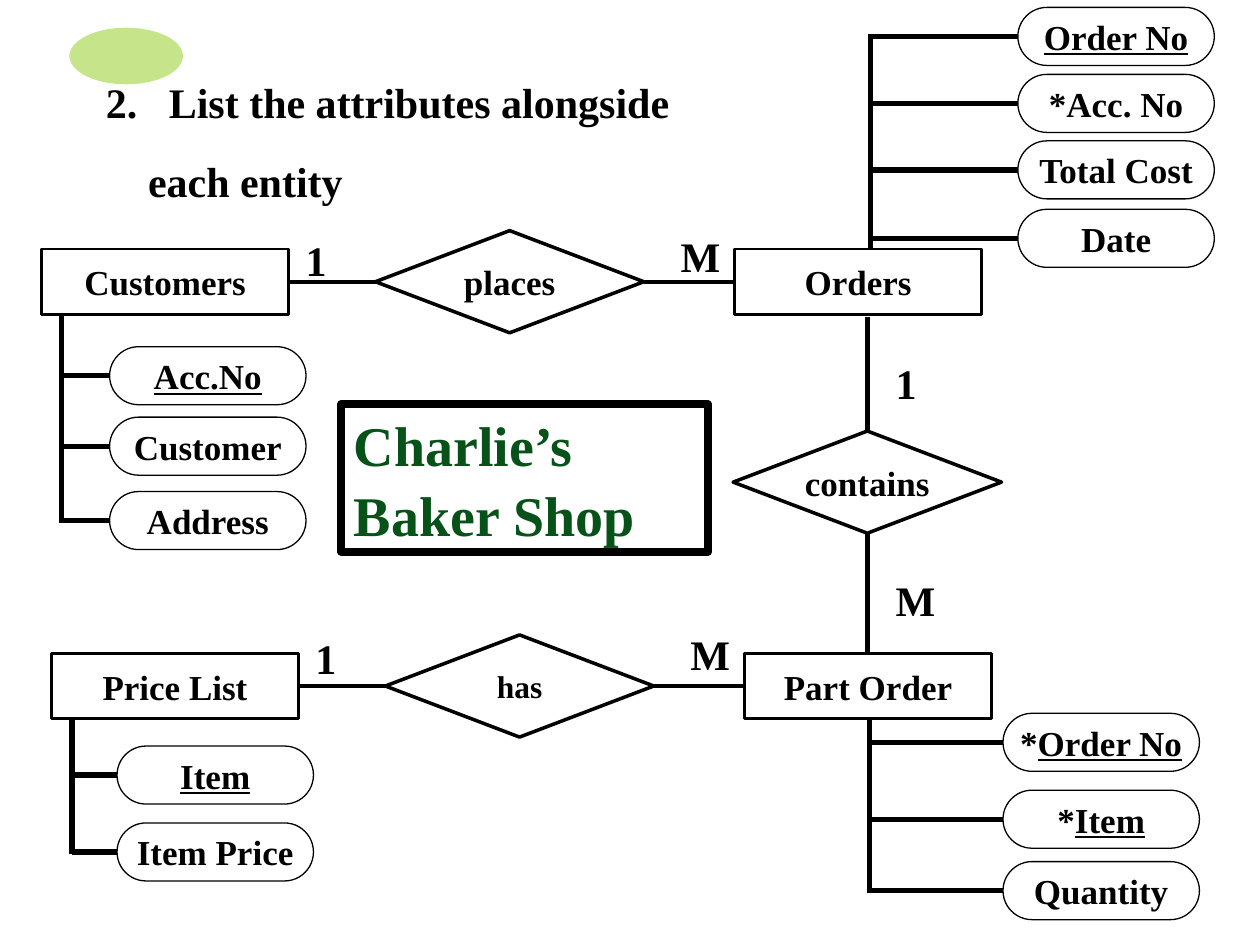
from lxml.etree import SubElement
from pptx import Presentation
from pptx.dml.color import RGBColor
from pptx.enum.shapes import MSO_CONNECTOR, MSO_SHAPE
from pptx.enum.text import MSO_ANCHOR as Anchor, MSO_AUTO_SIZE, PP_ALIGN as Align
from pptx.oxml.ns import qn
from pptx.util import Cm, Pt

BLACK, WHITE, GREEN, LIME = "000000", "FFFFFF", "065218", "8FCB17"
FONT = "Times New Roman"
ENTITY_W, ENTITY_H = 4.98, 1.32
DIAMOND_W, DIAMOND_H = 5.41, 2.06
PILL_W, PILL_H = 3.96, 1.17


def color(hex_code):
    """Turn a hex string into a colour."""
    return RGBColor.from_string(hex_code)


def write(paragraph, text, size=20, ink=BLACK, underline=False):
    """Append a bold run to a paragraph."""
    run = paragraph.add_run()
    run.text = text
    font = run.font
    font.name, font.size, font.bold = FONT, Pt(size), True
    font.underline = underline
    font.color.rgb = color(ink)


def place(item, left, top, width, height):
    """Move and size a placeholder, in centimetres."""
    item.left, item.top, item.width, item.height = map(Cm, (left, top, width, height))


def draw_line(slide, x1, y1, x2, y2, weight=2.5):
    """Draw a plain black line."""
    line = slide.shapes.add_connector(
        MSO_CONNECTOR.STRAIGHT, Cm(x1), Cm(y1), Cm(x2), Cm(y2))
    line.line.color.rgb = color(BLACK)
    line.line.width = Pt(weight)
    SubElement(line._element.spPr, qn("a:effectLst"))


def add_node(slide, kind, box, weight, text="", key="", size=20):
    """Draw an outlined white shape with centred text; the key is underlined."""
    node = slide.shapes.add_shape(kind, *map(Cm, box))
    node.shadow.inherit = False
    node.fill.solid()
    node.fill.fore_color.rgb = color(WHITE)
    node.line.color.rgb = color(BLACK)
    node.line.width = Pt(weight)
    frame = node.text_frame
    frame.word_wrap = False
    frame.vertical_anchor = Anchor.MIDDLE
    paragraph = frame.paragraphs[0]
    paragraph.alignment = Align.CENTER
    if text:
        write(paragraph, text, size)
    if key:
        write(paragraph, key, size, underline=True)
    return node


def add_entity(slide, left, top, name):
    """Draw an entity rectangle."""
    add_node(slide, MSO_SHAPE.RECTANGLE, (left, top, ENTITY_W, ENTITY_H), 1.5, name)


def add_diamond(slide, left, top, name, size=20):
    """Draw a relationship diamond."""
    add_node(slide, MSO_SHAPE.FLOWCHART_DECISION,
             (left, top, DIAMOND_W, DIAMOND_H), 2, name, size=size)


def add_cardinality(slide, left, top, text):
    """Write a cardinality beside a line."""
    frame = slide.shapes.add_textbox(Cm(left), Cm(top), Cm(1.37), Cm(1.27)).text_frame
    frame.word_wrap = True
    frame.vertical_anchor = Anchor.MIDDLE
    write(frame.paragraphs[0], text, 24)


def relationship_row(slide, left, top, names, one_top, many_top, size=20):
    """Draw two entities joined from left to right through a diamond."""
    first, relation, second = names
    diamond_left, second_left = left + 6.73, left + 13.97
    middle = top + DIAMOND_H / 2
    entity_top = middle - ENTITY_H / 2
    draw_line(slide, left + ENTITY_W, middle, diamond_left, middle)
    draw_line(slide, diamond_left + DIAMOND_W, middle, second_left, middle)
    add_entity(slide, left, entity_top, first)
    add_diamond(slide, diamond_left, top, relation, size)
    add_entity(slide, second_left, entity_top, second)
    add_cardinality(slide, left + 5.07, top + one_top, "1")
    add_cardinality(slide, left + 12.63, top + many_top, "M")


def relationship_column(slide, left, top, height, name):
    """Draw a diamond between two entities, one above the other."""
    center = left + DIAMOND_W / 2
    diamond_top = top + 2.3
    draw_line(slide, center, top, center, diamond_top)
    draw_line(slide, center, diamond_top + DIAMOND_H, center, top + height)
    add_diamond(slide, left, diamond_top, name)
    add_cardinality(slide, center + 0.32, top + 0.7, "1")
    add_cardinality(slide, center + 0.32, top + 5.07, "M")


def attribute_tree(slide, trunk, root, left, attributes):
    """Hang attributes, given as (top, text, key), on a trunk that starts at root."""
    middles = [top + PILL_H / 2 for top, _, _ in attributes]
    end = max(middles) + 0.05 if root < middles[-1] - 1 else min(middles) - 0.05
    draw_line(slide, trunk, root, trunk, end, 3)
    for middle, (top, text, key) in zip(middles, attributes):
        draw_line(slide, trunk, middle, left + 0.1, middle, 3)
        pill = add_node(slide, MSO_SHAPE.ROUNDED_RECTANGLE,
                        (left, top, PILL_W, PILL_H), 0.75, text, key)
        pill.adjustments[0] = 0.5


def add_accent(slide, left, top):
    """Draw the translucent lime ellipse behind the step."""
    accent = slide.shapes.add_shape(
        MSO_SHAPE.OVAL, Cm(left), Cm(top), Cm(2.29), Cm(1.14))
    accent.shadow.inherit = False
    accent.fill.solid()
    accent.fill.fore_color.rgb = color(LIME)
    accent.line.fill.background()
    tint = accent._element.spPr.find(qn("a:solidFill"))[0]
    SubElement(tint, qn("a:alpha"), val="50000")


def fill_step(step, left, top):
    """Write the numbered step in the body placeholder."""
    place(step, left, top, 14.99, 2.82)
    frame = step.text_frame
    frame.auto_size = MSO_AUTO_SIZE.NONE
    frame.vertical_anchor = Anchor.TOP
    numbered, continued = frame.paragraphs[0], frame.add_paragraph()
    margins = ((numbered, 1.27, -1.27, 0), (continued, 0.85, 0, 16))
    for paragraph, margin, indent, before in margins:
        properties = paragraph._p.get_or_add_pPr()
        properties.set("marL", str(Cm(margin)))
        properties.set("indent", str(Cm(indent)))
        if paragraph is numbered:
            SubElement(properties, qn("a:buFont"), typeface=FONT)
            SubElement(properties, qn("a:buAutoNum"), type="arabicPeriod", startAt="2")
        else:
            SubElement(properties, qn("a:buNone"))
        paragraph.space_before = Pt(before)
    write(numbered, "List the attributes alongside", 24)
    write(continued, "each entity", 24)


def fill_title(title, left, top):
    """Write the framed shop name in the title placeholder."""
    place(title, left, top, 7.39, 2.97)
    title.line.color.rgb = color(BLACK)
    title.line.width = Pt(4.5)
    frame = title.text_frame
    frame.word_wrap = True
    frame.auto_size = MSO_AUTO_SIZE.NONE
    frame.vertical_anchor = Anchor.MIDDLE
    paragraph = frame.paragraphs[0]
    paragraph.alignment = Align.LEFT
    paragraph.line_spacing = 1.04
    write(paragraph, "Charlie’s Baker Shop", 32, GREEN)


def main():
    """Build the entity relationship slide."""
    deck = Presentation()
    deck.slide_width, deck.slide_height = Cm(25.4), Cm(19.05)
    slide = deck.slides.add_slide(deck.slide_layouts[1])
    add_accent(slide, 1.4, 0.56)
    fill_step(slide.placeholders[1], 1.88, 1.42)
    fill_title(slide.shapes.title, 6.88, 8.15)
    attribute_tree(slide, 17.55, 5.05, 20.52, [
        (0.15, "", "Order No"), (1.5, "*Acc. No", ""),
        (2.84, "Total Cost", ""), (4.22, "Date", "")])
    attribute_tree(slide, 1.24, 6.35, 2.21, [
        (6.99, "", "Acc.No"), (8.41, "Customer", ""), (9.91, "Address", "")])
    attribute_tree(slide, 17.53, 14.5, 20.22, [
        (14.38, "*", "Order No"), (15.93, "*", "Item"), (17.37, "Quantity", "")])
    attribute_tree(slide, 1.45, 14.5, 2.36, [
        (15.04, "", "Item"), (16.59, "Item Price", "")])
    relationship_row(slide, 0.84, 4.65, ("Customers", "places", "Orders"), -0.05, -0.13)
    relationship_row(slide, 1.04, 12.8, ("Price List", "has", "Part Order"),
                     -0.18, -0.25, 18)
    relationship_column(slide, 14.78, 6.39, 6.8, "contains")
    deck.save("out.pptx")


if __name__ == "__main__":
    main()
